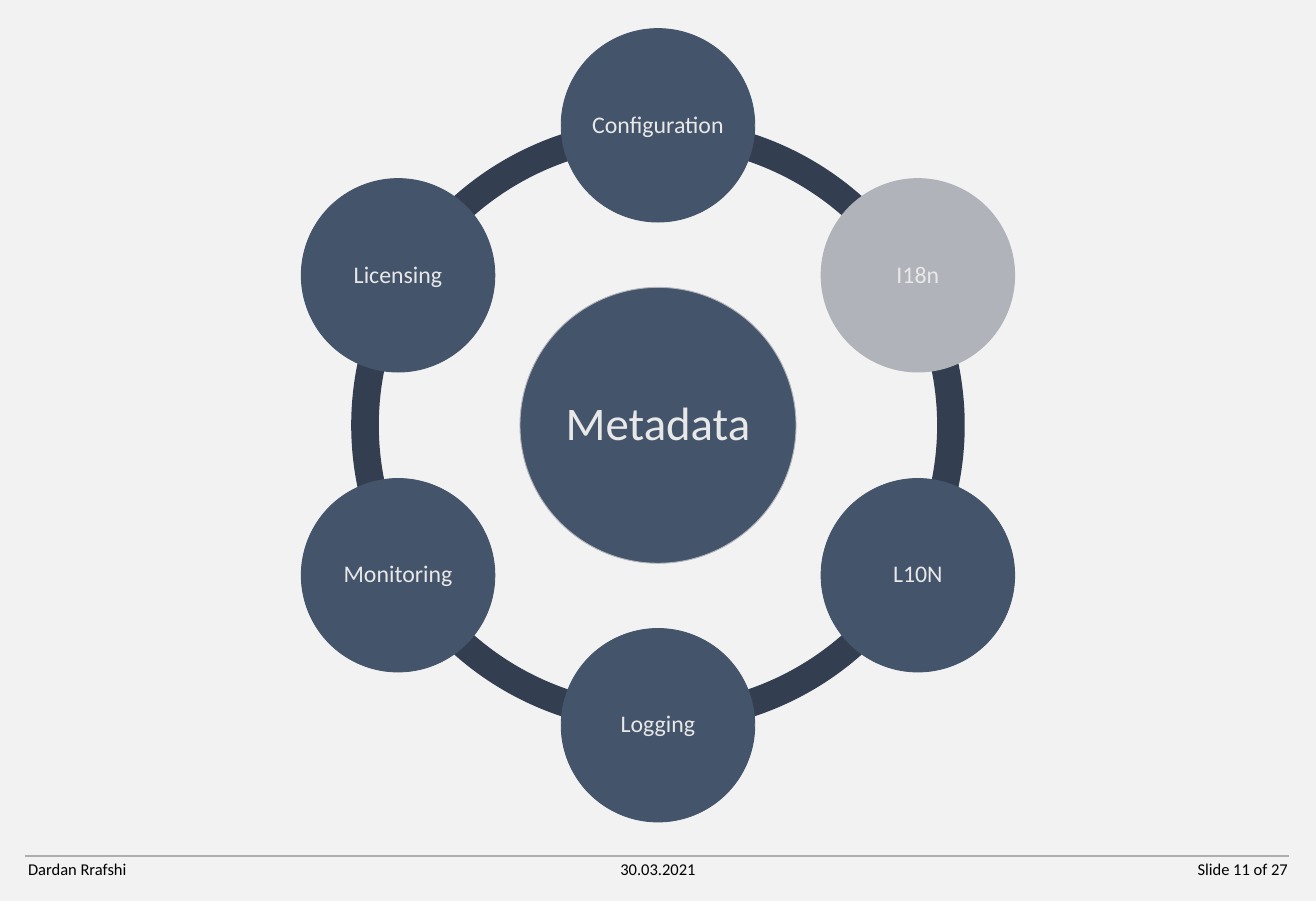
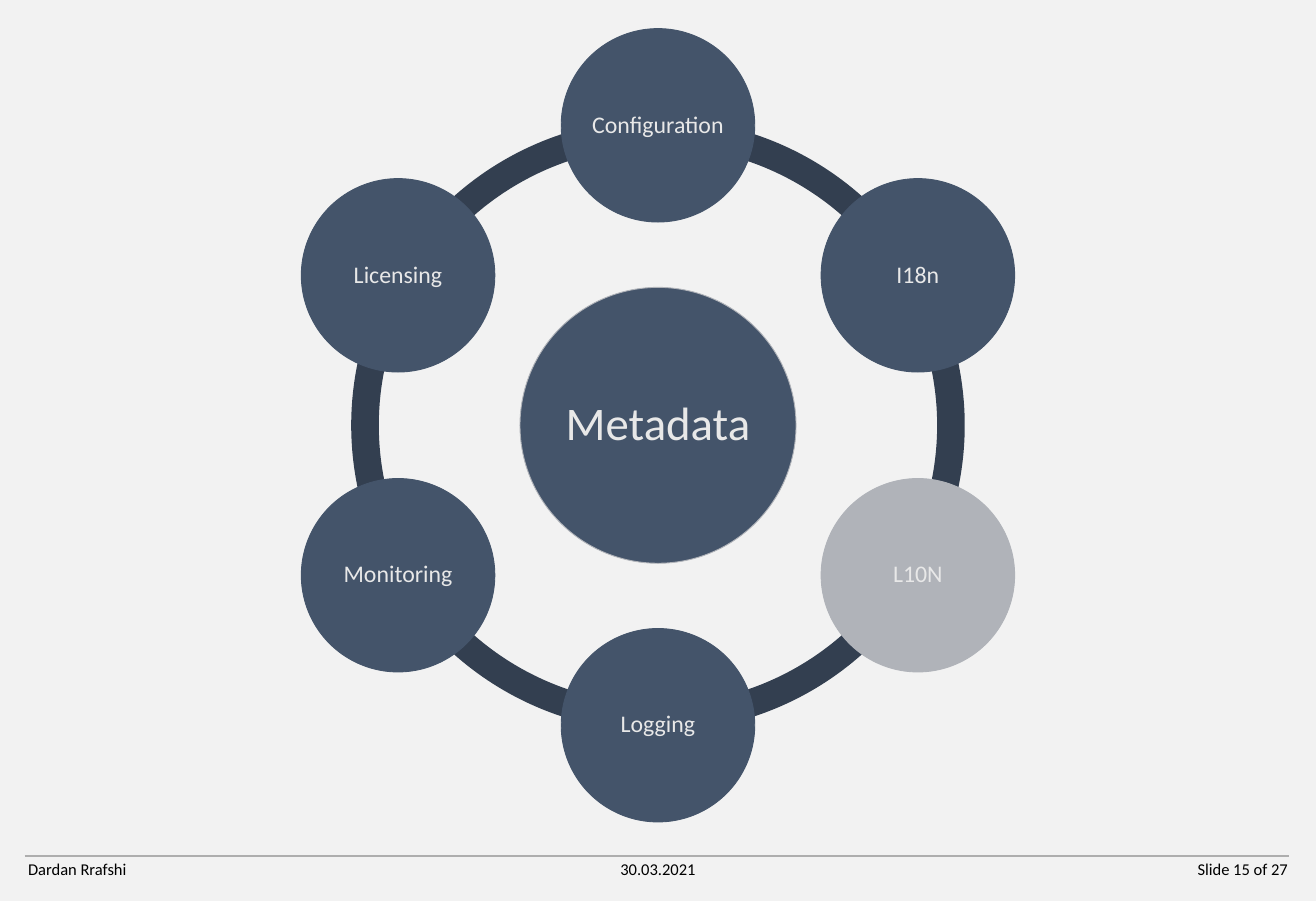
from dataclasses import dataclass
from math import cos, radians, sin

from lxml.etree import SubElement
from pptx import Presentation
from pptx.dml.color import RGBColor
from pptx.enum.shapes import MSO_CONNECTOR, MSO_SHAPE
from pptx.enum.text import MSO_ANCHOR, MSO_AUTO_SIZE, PP_ALIGN
from pptx.oxml.ns import qn
from pptx.shapes.autoshape import Shape
from pptx.shapes.shapetree import GroupShapes
from pptx.slide import Slide
from pptx.util import Pt

SLIDE_W, SLIDE_H = 1435, 983
CENTER_X, CENTER_Y = SLIDE_W / 2, 464
RING_DIAMETER = 669
RING_THICKNESS = 0.045
ORBIT_RADIUS = 327.25
FULL_TURN = 216
FOOTER_TOP, FOOTER_W, FOOTER_H = 934, 127.5, 29
FOOTER_MARGIN = 23.5
RULE_MARGIN = 27

FONT = "Calibri"
BACKGROUND = "F2F2F2"
RULE = "AEAEAE"
RING = "333F50"
DISC = "44546A"
HIGHLIGHT = "B0B3B9"
DISC_TEXT = "E8E8E8"
FOOTER_TEXT = "000000"

TOPICS = ["Configuration", "I18n", "L10N", "Logging", "Monitoring", "Licensing"]
TOTAL_SLIDES = 27


@dataclass(frozen=True)
class Overview:
    number: int
    current_topic: str


@dataclass(frozen=True)
class DiscStyle:
    diameter: float
    font_size: float
    inset: float


HUB = DiscStyle(diameter=301, font_size=51, inset=5)
SATELLITE = DiscStyle(diameter=211, font_size=26, inset=3)

OVERVIEWS = [Overview(11, "I18n"), Overview(15, "L10N")]


def color(value: str) -> RGBColor:
    return RGBColor.from_string(value)


def write(shape: Shape, text: str, size: float, ink: str, align: PP_ALIGN) -> None:
    paragraph = shape.text_frame.paragraphs[0]
    paragraph.text = text
    paragraph.alignment = align
    paragraph.font.name = FONT
    paragraph.font.size = Pt(size)
    paragraph.font.color.rgb = color(ink)


def add_round(shapes: GroupShapes, preset: MSO_SHAPE, x: float, y: float,
              diameter: float, fill: str) -> Shape:
    corner = (Pt(x - diameter / 2), Pt(y - diameter / 2))
    shape = shapes.add_shape(preset, *corner, Pt(diameter), Pt(diameter))
    shape.shadow.inherit = False
    shape.fill.solid()
    shape.fill.fore_color.rgb = color(fill)
    return shape


def add_disc(shapes: GroupShapes, label: str, x: float, y: float,
             style: DiscStyle, fill: str, outline: str) -> None:
    disc = add_round(shapes, MSO_SHAPE.OVAL, x, y, style.diameter, fill)
    disc.line.color.rgb = color(outline)
    disc.line.width = Pt(1)
    frame = disc.text_frame
    frame.word_wrap = False
    frame.vertical_anchor = MSO_ANCHOR.MIDDLE
    frame.margin_left = frame.margin_right = Pt(style.inset)
    frame.margin_top = frame.margin_bottom = Pt(style.inset)
    write(disc, label, style.font_size, DISC_TEXT, PP_ALIGN.CENTER)
    frame.paragraphs[0].line_spacing = 0.9


def add_ring(shapes: GroupShapes) -> None:
    step = FULL_TURN / len(TOPICS)
    top = FULL_TURN * 3 / 4
    for index in range(len(TOPICS)):
        arc = add_round(shapes, MSO_SHAPE.BLOCK_ARC, CENTER_X, CENTER_Y,
                        RING_DIAMETER, RING)
        arc.line.fill.background()
        arc.adjustments[0] = (top - (index + 1) * step) % FULL_TURN
        arc.adjustments[1] = (top - index * step) % FULL_TURN
        arc.adjustments[2] = RING_THICKNESS


def add_topic_wheel(slide: Slide, current_topic: str) -> None:
    shapes = slide.shapes.add_group_shape().shapes
    add_ring(shapes)
    add_disc(shapes, "Metadata", CENTER_X, CENTER_Y, HUB, DISC, HIGHLIGHT)
    for index, topic in enumerate(TOPICS):
        angle = radians(index * 360 / len(TOPICS) - 90)
        x = CENTER_X + ORBIT_RADIUS * cos(angle)
        y = CENTER_Y + ORBIT_RADIUS * sin(angle)
        fill = HIGHLIGHT if topic == current_topic else DISC
        add_disc(shapes, topic, x, y, SATELLITE, fill, fill)


def add_footer(slide: Slide, number: int) -> None:
    rule = slide.shapes.add_connector(
        MSO_CONNECTOR.STRAIGHT, Pt(RULE_MARGIN), Pt(FOOTER_TOP),
        Pt(SLIDE_W - RULE_MARGIN - 2), Pt(FOOTER_TOP))
    rule.line.color.rgb = color(RULE)
    rule.line.width = Pt(2.25)
    SubElement(rule._element.spPr, qn("a:effectLst"))

    entries = [
        ("Dardan Rrafshi", PP_ALIGN.LEFT),
        ("30.03.2021", PP_ALIGN.CENTER),
        (f"Slide {number} of {TOTAL_SLIDES}", PP_ALIGN.RIGHT),
    ]
    pitch = (SLIDE_W - 2 * FOOTER_MARGIN - FOOTER_W) / (len(entries) - 1)
    for index, (text, align) in enumerate(entries):
        entry = slide.shapes.add_textbox(
            Pt(FOOTER_MARGIN + index * pitch), Pt(FOOTER_TOP),
            Pt(FOOTER_W), Pt(FOOTER_H))
        entry.text_frame.word_wrap = True
        entry.text_frame.auto_size = MSO_AUTO_SIZE.SHAPE_TO_FIT_TEXT
        write(entry, text, 18, FOOTER_TEXT, align)


def main() -> None:
    presentation = Presentation()
    presentation.slide_width = Pt(SLIDE_W)
    presentation.slide_height = Pt(SLIDE_H)
    backdrop = presentation.slide_master.background.fill
    backdrop.solid()
    backdrop.fore_color.rgb = color(BACKGROUND)
    blank_layout = presentation.slide_layouts[6]
    for overview in OVERVIEWS:
        slide = presentation.slides.add_slide(blank_layout)
        add_footer(slide, overview.number)
        add_topic_wheel(slide, overview.current_topic)
    presentation.save("out.pptx")


if __name__ == "__main__":
    main()
